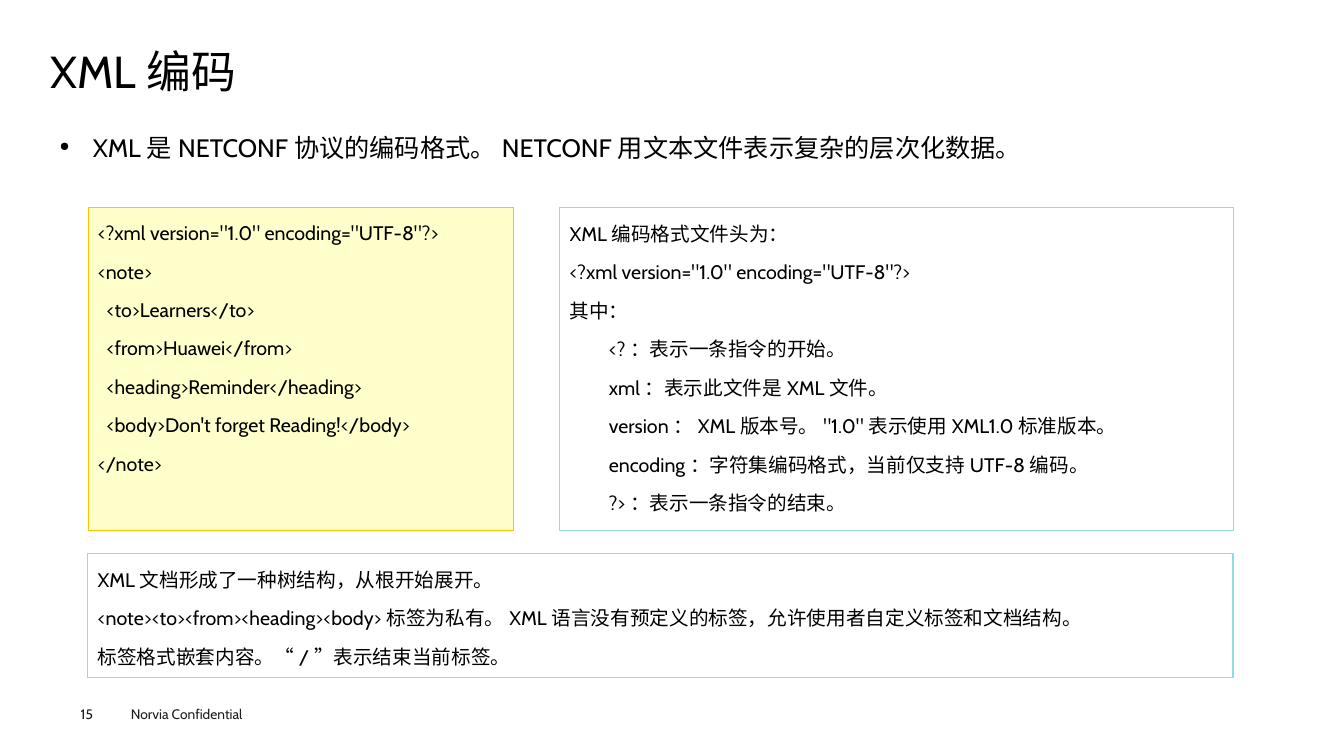
from lxml.etree import SubElement
from pptx import Presentation
from pptx.dml.color import RGBColor
from pptx.enum.shapes import MSO_SHAPE
from pptx.enum.text import MSO_ANCHOR, PP_ALIGN
from pptx.oxml.ns import qn
from pptx.util import Inches, Pt

COLORS = {"text": "000000", "footer": "1D1D1B", "code_fill": "FFFFCC",
          "code_line": "FFC000", "note_line": "94DAE2"}

XML_EXAMPLE = [
    '<?xml version="1.0" encoding="UTF-8"?>',
    "<note>",
    "  <to>Learners</to>",
    "  <from>Huawei</from>",
    "  <heading>Reminder</heading>",
    "  <body>Don't forget Reading!</body>",
    "</note>",
]
HEADER_INTRO = [
    "XML编码格式文件头为：",
    '<?xml version="1.0" encoding="UTF-8"?>',
    "其中：",
]
HEADER_PARTS = [
    "<?：表示一条指令的开始。",
    "xml：表示此文件是XML文件。",
    'version：XML版本号。"1.0"表示使用XML1.0标准版本。',
    "encoding：字符集编码格式，当前仅支持UTF-8编码。",
    "?>：表示一条指令的结束。",
]
TREE_NOTES = [
    "XML文档形成了一种树结构，从根开始展开。",
    "<note><to><from><heading><body>标签为私有。XML语言没有预定义的标签，允许使用者自定义标签和文档结构。",
    "标签格式嵌套内容。“/”表示结束当前标签。",
]


def rgb(name):
    return RGBColor.from_string(COLORS[name])


def indent(paragraph, left, first=0):
    properties = paragraph._p.get_or_add_pPr()
    properties.set("marL", str(Inches(left)))
    properties.set("indent", str(Inches(first)))
    return properties


class SlideBuilder:
    font_name = "Cabin"

    def __init__(self, slide):
        self.slide = slide

    def fill_text(self, frame, lines, size, color="text", spacing=1.0,
                  align=PP_ALIGN.LEFT, inset=(0.1, 0.05)):
        """Write one paragraph per line and return the paragraphs."""
        frame.word_wrap = True
        frame.vertical_anchor = MSO_ANCHOR.TOP
        frame.margin_left = frame.margin_right = Inches(inset[0])
        frame.margin_top = frame.margin_bottom = Inches(inset[1])
        for number, line in enumerate(lines):
            paragraph = frame.add_paragraph() if number else frame.paragraphs[0]
            paragraph.text = line
            paragraph.alignment = align
            paragraph.line_spacing = spacing
            if number:
                paragraph.space_before = Pt(size * 0.28)
            paragraph.font.name = self.font_name
            paragraph.font.size = Pt(size)
            paragraph.font.color.rgb = rgb(color)
        return frame.paragraphs

    def label(self, box, text, size, **style):
        frame = self.slide.shapes.add_textbox(*map(Inches, box)).text_frame
        self.fill_text(frame, [text], size, **style)

    def bullet(self, box, text, size):
        frame = self.slide.shapes.add_textbox(*map(Inches, box)).text_frame
        properties = indent(frame.paragraphs[0], 0.33, -0.33)
        SubElement(properties, qn("a:buSzPct"), val="50000")
        SubElement(properties, qn("a:buChar"), char="●")
        self.fill_text(frame, [text], size, spacing=1.4,
                       align=PP_ALIGN.JUSTIFY, inset=(0.09, 0.04))

    def panel(self, box, lines, line, fill=None, **style):
        rectangle = self.slide.shapes.add_shape(MSO_SHAPE.RECTANGLE, *map(Inches, box))
        rectangle.shadow.inherit = False
        if fill:
            rectangle.fill.solid()
            rectangle.fill.fore_color.rgb = rgb(fill)
        else:
            rectangle.fill.background()
        rectangle.line.color.rgb = rgb(line)
        rectangle.line.width = Pt(0.75)
        return self.fill_text(rectangle.text_frame, lines, 14, spacing=1.4, **style)


def main():
    presentation = Presentation()
    presentation.slide_width = Inches(13.33)
    presentation.slide_height = Inches(7.5)
    builder = SlideBuilder(presentation.slides.add_slide(presentation.slide_layouts[6]))

    builder.label((0.5, 0.49, 12.35, 0.53), "XML编码", 32, spacing=0.9, inset=(0, 0))
    builder.bullet((0.5, 1.15, 12.35, 0.6),
                   "XML是NETCONF协议的编码格式。NETCONF用文本文件表示复杂的层次化数据。", 18)

    builder.panel((0.88, 2.06, 4.21, 3.2), XML_EXAMPLE, "code_line", "code_fill",
                  align=PP_ALIGN.JUSTIFY, inset=(0.09, 0.04))
    header_lines = builder.panel((5.55, 2.06, 6.68, 3.2),
                                 HEADER_INTRO + HEADER_PARTS, "note_line")
    for part in header_lines[len(HEADER_INTRO):]:
        part.level = 1
        indent(part, 0.39)
    builder.panel((0.87, 5.49, 11.36, 1.23), TREE_NOTES, "note_line",
                  align=PP_ALIGN.JUSTIFY)

    builder.label((0.8, 7, 0.55, 0.16), "15", 9.8, color="footer", inset=(0, 0))
    builder.label((1.2, 6.95, 1.6, 0.27), "Norvia Confidential", 9.8, color="footer")
    presentation.save("out.pptx")


if __name__ == "__main__":
    main()
